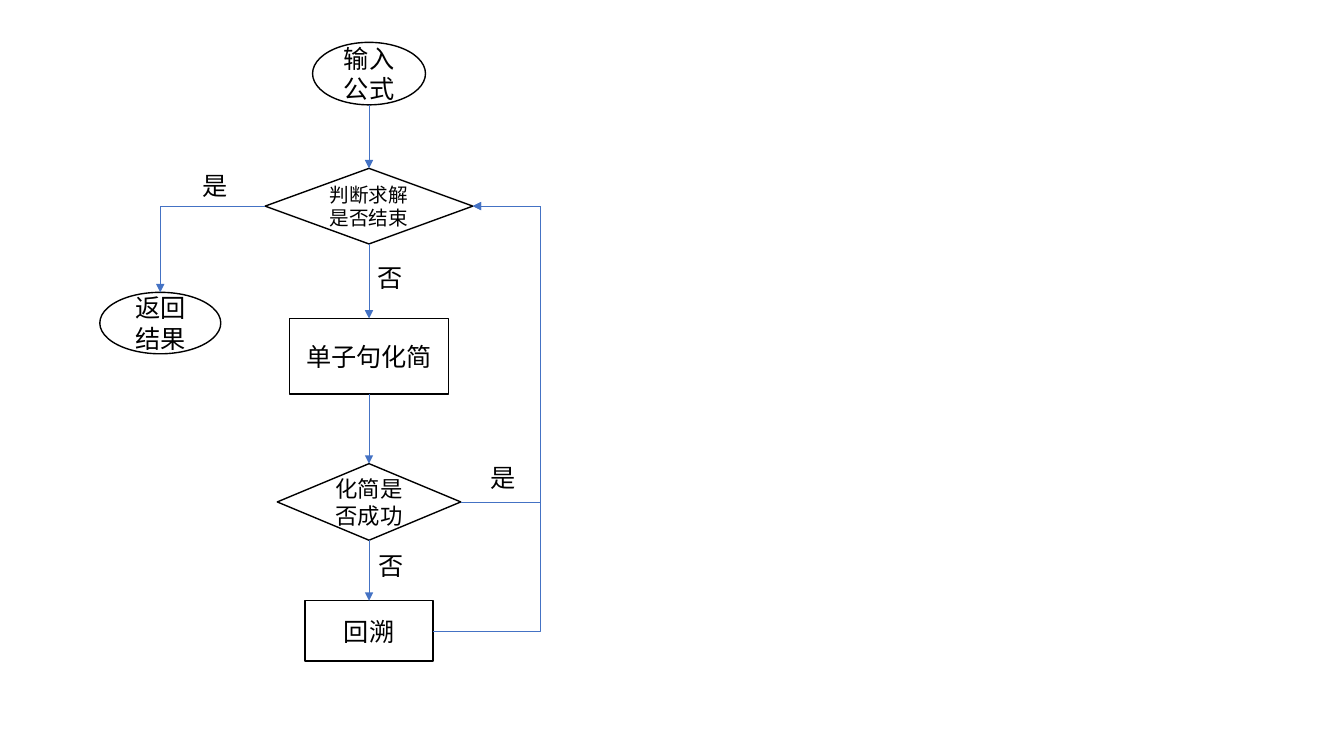
from lxml.etree import SubElement
from pptx import Presentation
from pptx.dml.color import RGBColor
from pptx.enum.shapes import MSO_CONNECTOR as Connector, MSO_SHAPE as Shape
from pptx.enum.text import MSO_ANCHOR as Anchor, PP_ALIGN as Align
from pptx.oxml.ns import qn
from pptx.util import Inches, Pt

COLORS = {"ink": "000000", "paper": "FFFFFF", "arrow": "4472C4"}
FONT = "Noto Sans CJK SC"
MAIN_X = 3.66     # centre of the main column
RESULT_X = 1.59   # centre of the result node
RETURN_X = 5.36   # vertical run of the loop back


def color(name):
    return RGBColor.from_string(COLORS[name])


def write_text(frame, text, size=18, align=None, anchor=None):
    frame.word_wrap = True
    if anchor is not None:
        frame.vertical_anchor = anchor
    paragraph = frame.paragraphs[0]
    paragraph.alignment = align
    run = paragraph.add_run()
    run.text = text
    run.font.size = Pt(size)
    run.font.color.rgb = color("ink")
    run.font.name = FONT
    SubElement(run.font._element, qn("a:ea"), typeface=FONT)


def add_node(slide, kind, text, center_x, top, width, height, size=18):
    shape = slide.shapes.add_shape(
        kind, Inches(center_x - width / 2), Inches(top), Inches(width), Inches(height))
    shape.shadow.inherit = False
    if kind == Shape.RECTANGLE:
        shape.fill.background()
    else:
        shape.fill.solid()
        shape.fill.fore_color.rgb = color("paper")
    shape.line.color.rgb = color("ink")
    shape.line.width = Pt(1)
    write_text(shape.text_frame, text, size=size, align=Align.CENTER, anchor=Anchor.MIDDLE)
    return shape


def add_label(slide, text, left, top):
    box = slide.shapes.add_textbox(Inches(left), Inches(top), Inches(0.39), Inches(0.4))
    write_text(box.text_frame, text)


def side_point(shape, side):
    middle_x = shape.left + shape.width // 2
    middle_y = shape.top + shape.height // 2
    return {
        "top": (middle_x, shape.top),
        "bottom": (middle_x, shape.top + shape.height),
        "left": (shape.left, middle_y),
        "right": (shape.left + shape.width, middle_y),
    }[side]


def add_arrow(slide, start, end, kind=Connector.STRAIGHT):
    connector = slide.shapes.add_connector(kind, *start, *end)
    connector.line.color.rgb = color("arrow")
    connector.line.width = Pt(0.5)
    SubElement(connector.line._get_or_add_ln(), qn("a:tailEnd"), type="triangle")
    SubElement(connector._element.spPr, qn("a:effectLst"))
    return connector


def add_return_arrow(slide, start, end, via_x):
    """Three-part elbow whose vertical run lies at via_x."""
    connector = add_arrow(slide, start, end, Connector.ELBOW)
    bend = round((via_x - start[0]) / (end[0] - start[0]) * 100000)
    guides = connector._element.spPr.find(qn("a:prstGeom")).get_or_add_avLst()
    SubElement(guides, qn("a:gd"), name="adj1", fmla=f"val {bend}")


def add_corner_arrow(slide, start, end):
    """Two-part elbow: first sideways, then down."""
    connector = add_arrow(slide, start, end, Connector.ELBOW)
    connector._element.spPr.find(qn("a:prstGeom")).set("prst", "bentConnector2")


def main():
    presentation = Presentation()
    presentation.slide_width = Inches(13.33)
    presentation.slide_height = Inches(7.5)
    slide = presentation.slides.add_slide(presentation.slide_layouts[6])

    # Nodes of the main column, top to bottom
    steps = [add_node(slide, kind, text, MAIN_X, *box, size=size) for kind, text, box, size in [
        (Shape.OVAL, "输入公式", (0.42, 1.12, 0.62), 18),
        (Shape.FLOWCHART_DECISION, "判断求解是否结束", (1.67, 2.06, 0.75), 14),
        (Shape.RECTANGLE, "单子句化简", (3.16, 1.58, 0.75), 18),
        (Shape.FLOWCHART_DECISION, "化简是否成功", (4.6, 1.82, 0.76), 16),
        (Shape.RECTANGLE, "回溯", (5.96, 1.27, 0.6), 18),
    ]]
    finished, simplified, backtrack = steps[1], steps[3], steps[4]
    result = add_node(slide, Shape.OVAL, "返回结果", RESULT_X, 2.9, 1.2, 0.61)

    # Arrows down the column, back to the first decision, and to the result
    for upper, lower in zip(steps, steps[1:]):
        add_arrow(slide, side_point(upper, "bottom"), side_point(lower, "top"))
    for source in (simplified, backtrack):
        add_return_arrow(slide, side_point(source, "right"),
                         side_point(finished, "right"), Inches(RETURN_X))
    add_corner_arrow(slide, side_point(finished, "left"), side_point(result, "top"))

    # Branch labels
    for text, left, top in [("否", 3.65, 2.55), ("否", 3.66, 5.41),
                            ("是", 4.77, 4.54), ("是", 1.91, 1.64)]:
        add_label(slide, text, left, top)

    presentation.save("out.pptx")


main()
